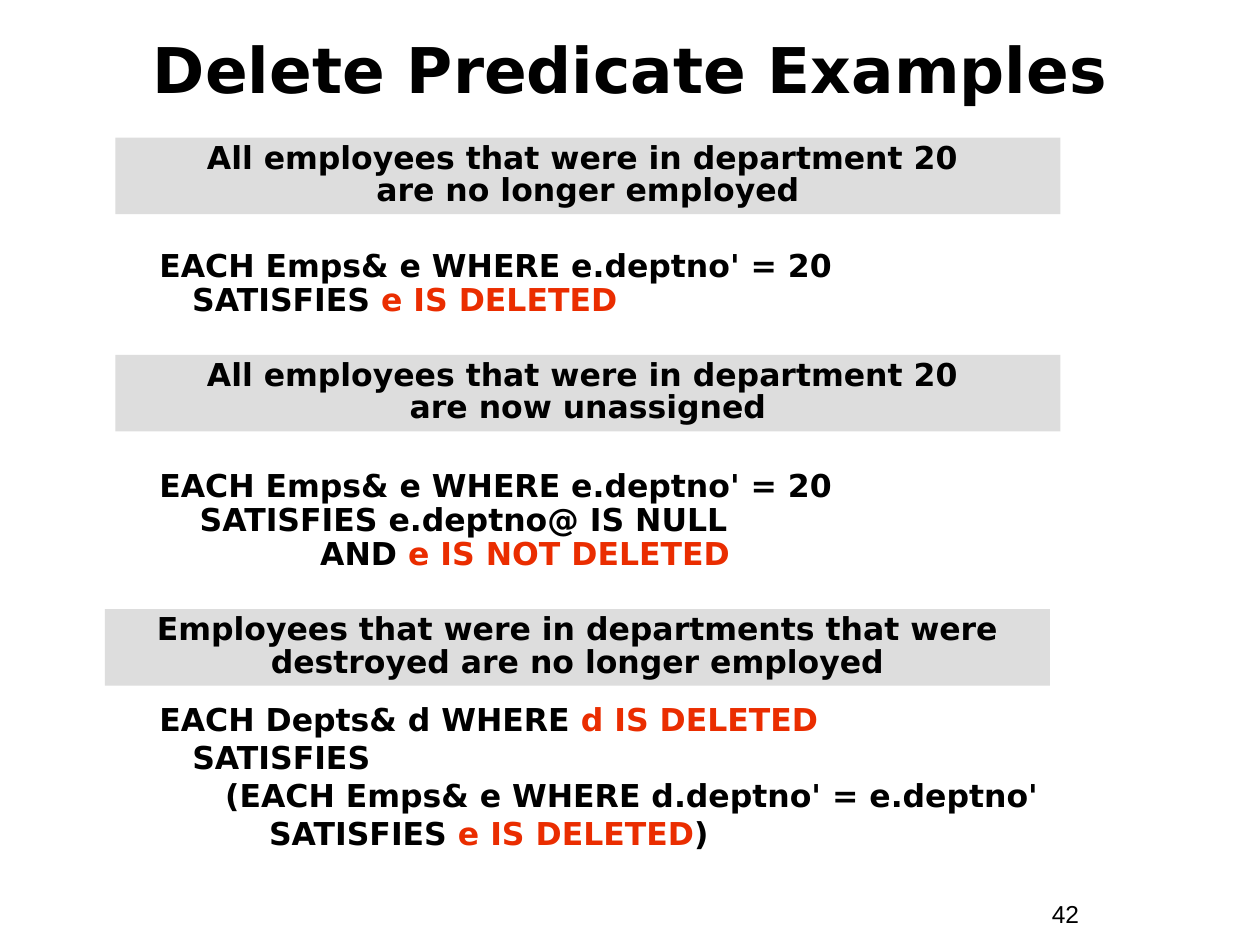
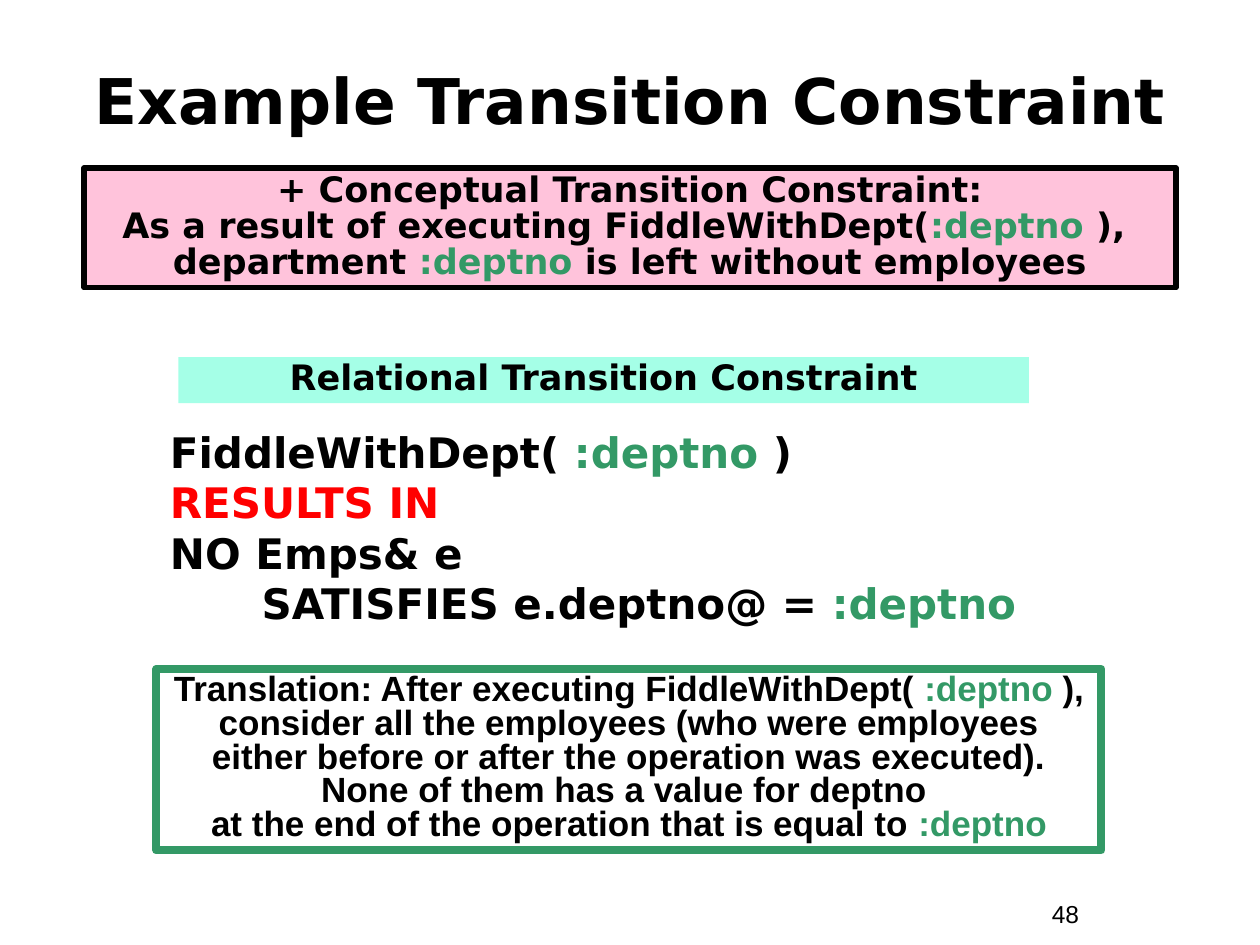
from lxml import etree
from pptx import Presentation
from pptx import util as u
from pptx.dml.color import RGBColor
from pptx.enum import shapes, text
from pptx.oxml.ns import qn

BLACK, GREY, PINK, MINT = "000000", "DDDDDD", "FFC3DB", "A5FFE7"
ORANGE, RED, GREEN = "EA2D00", "FF0000", "339966"
SANS, ARIAL = "DejaVu Sans", "Arial"

presentation = Presentation()
presentation.slide_width, presentation.slide_height = u.Inches(10), u.Inches(7.5)
CELL = presentation.slide_width / 12  # grid of 12 columns by 9 square rows


def write(shape, paragraphs, size, accent=BLACK, font=SANS, bold=True,
          centred=False, spacing=1.0, hanging=0):
    """Fill a shape with text; parts between bars take the accent colour."""
    frame = shape.text_frame
    frame.word_wrap = True
    frame.auto_size = text.MSO_AUTO_SIZE.NONE
    for number, content in enumerate(paragraphs):
        paragraph = frame.add_paragraph() if number else frame.paragraphs[0]
        if hanging:
            properties = paragraph._p.get_or_add_pPr()
            properties.set("marL", str(u.Inches(hanging)))
            properties.set("indent", str(-u.Inches(hanging)))
        paragraph.alignment = text.PP_ALIGN.CENTER if centred else text.PP_ALIGN.LEFT
        paragraph.line_spacing = spacing
        paragraph.font.size, paragraph.font.name = u.Pt(size), font
        paragraph.font.bold = bold
        for part, words in enumerate(content.split("|")):
            for line_number, line in enumerate(words.split("\n")):
                if line_number:
                    paragraph.add_line_break()
                if line:
                    run = paragraph.add_run()
                    run.text = line
                    run.font.color.rgb = RGBColor.from_string(accent if part % 2 else BLACK)


def add_box(slide, column, row, columns, rows, fill=None, line=None, line_width=0):
    """Place a rectangle, or a plain text box if it has no fill and no line."""
    place = [u.Emu(round(CELL * cells)) for cells in (column, row, columns, rows)]
    if not (fill or line):
        return slide.shapes.add_textbox(*place)
    box = slide.shapes.add_shape(shapes.MSO_SHAPE.RECTANGLE, *place)
    box.shadow.inherit = False
    box.text_frame.vertical_anchor = text.MSO_ANCHOR.TOP
    if fill:
        box.fill.solid()
        box.fill.fore_color.rgb = RGBColor.from_string(fill)
    else:
        box.fill.background()
    if line:
        box.line.color.rgb = RGBColor.from_string(line)
        box.line.width = u.Pt(line_width)
    else:
        box.line.fill.background()
    return box


# Slides with title and page number
slides = []
for title_text, title_row, page in [("Delete Predicate Examples", 0.1, "42"),
                                    ("Example Transition Constraint", 0.4, "48")]:
    slide = presentation.slides.add_slide(presentation.slide_layouts[5])
    title = slide.shapes.title
    title.left, title.top, title.width, title.height = [
        u.Emu(round(CELL * cells)) for cells in (0.4, title_row, 11.2, 1.1)]
    title.text_frame.vertical_anchor = text.MSO_ANCHOR.MIDDLE
    write(title, [title_text], 36, centred=True)
    write(add_box(slide, 9.9, 8.5, 1.1, 0.41), [page], 14, font=ARIAL, bold=False)
    slides.append(slide)
delete_slide, transition_slide = slides

# Delete predicates: grey statement bands
for column, row, statement in [
    (1.1, 1.31, "All employees that were in department 20 \nare no longer employed"),
    (1.1, 3.38, "All employees that were in department 20 \nare now unassigned"),
    (1.0, 5.8, "Employees that were in departments that were destroyed are no longer employed"),
]:
    band = add_box(delete_slide, column, row, 9, 0.73, fill=GREY)
    write(band, [statement], 18, centred=True, spacing=0.85)

# Delete predicates: code under each band
for row, columns, rows, spacing, hanging, code in [
    (2.32, 7.8, 0.77, 0.9, 0,
     ["EACH Emps& e WHERE e.deptno' = 20\n   SATISFIES |e IS DELETED|"]),
    (4.42, 8.3, 1.09, 0.9, 0.32,
     ["EACH Emps& e WHERE e.deptno' = 20\nSATISFIES e.deptno@ IS NULL\n"
      "           AND |e IS NOT DELETED|"]),
    (6.61, 9.8, 1.56, 1.0, 0,
     ["EACH Depts& d WHERE |d IS DELETED|\n   SATISFIES",
      "      (EACH Emps& e WHERE d.deptno' = e.deptno'\n"
      "          SATISFIES |e IS DELETED|)"]),
]:
    write(add_box(delete_slide, 1.4, row, columns, rows), code, 18, ORANGE,
          spacing=spacing, hanging=hanging)

# Transition constraint: conceptual statement
conceptual = add_box(transition_slide, 0.8, 1.6, 10.4, 1.14, PINK, BLACK, 3)
write(conceptual, ["+ Conceptual Transition Constraint:\n"
                   "As a result of executing FiddleWithDept(|:deptno| ), \n"
                   "department |:deptno| is left without employees"],
      20, GREEN, centred=True, spacing=0.85)

# Transition constraint: relational heading and code
relational = add_box(transition_slide, 1.7, 3.4, 8.1, 0.44, MINT)
write(relational, ["Relational Transition Constraint"], 20, centred=True, spacing=0.8)
code_box = add_box(transition_slide, 1.5, 4, 8.7, 2.1)
write(code_box, ["FiddleWithDept( |:deptno| )", "|RESULTS IN|",
                 "NO Emps& e\n   SATISFIES e.deptno@ = |:deptno|"],
      24, GREEN, hanging=0.38)
results_run = code_box.text_frame.paragraphs[1].runs[0]
results_run.font.color.rgb = RGBColor.from_string(RED)

# Transition constraint: translation in plain words
translation = add_box(transition_slide, 1.49, 6.37, 9, 1.73, line=GREEN, line_width=4.5)
write(translation, ["Translation: After executing FiddleWithDept( |:deptno| ),\n"
                    "consider all the employees (who were employees either before or after "
                    "the operation was executed). None of them has a value for deptno \n"
                    "at the end of the operation that is equal to |:deptno|"],
      20, GREEN, ARIAL, centred=True, spacing=0.8)

# Line breaks take the size of the text around them
for slide in slides:
    for line_break in slide.shapes._spTree.iter(qn("a:br")):
        previous = line_break.getparent().find(qn("a:pPr")).find(qn("a:defRPr"))
        etree.SubElement(line_break, qn("a:rPr")).set("sz", previous.get("sz"))

presentation.save("out.pptx")
